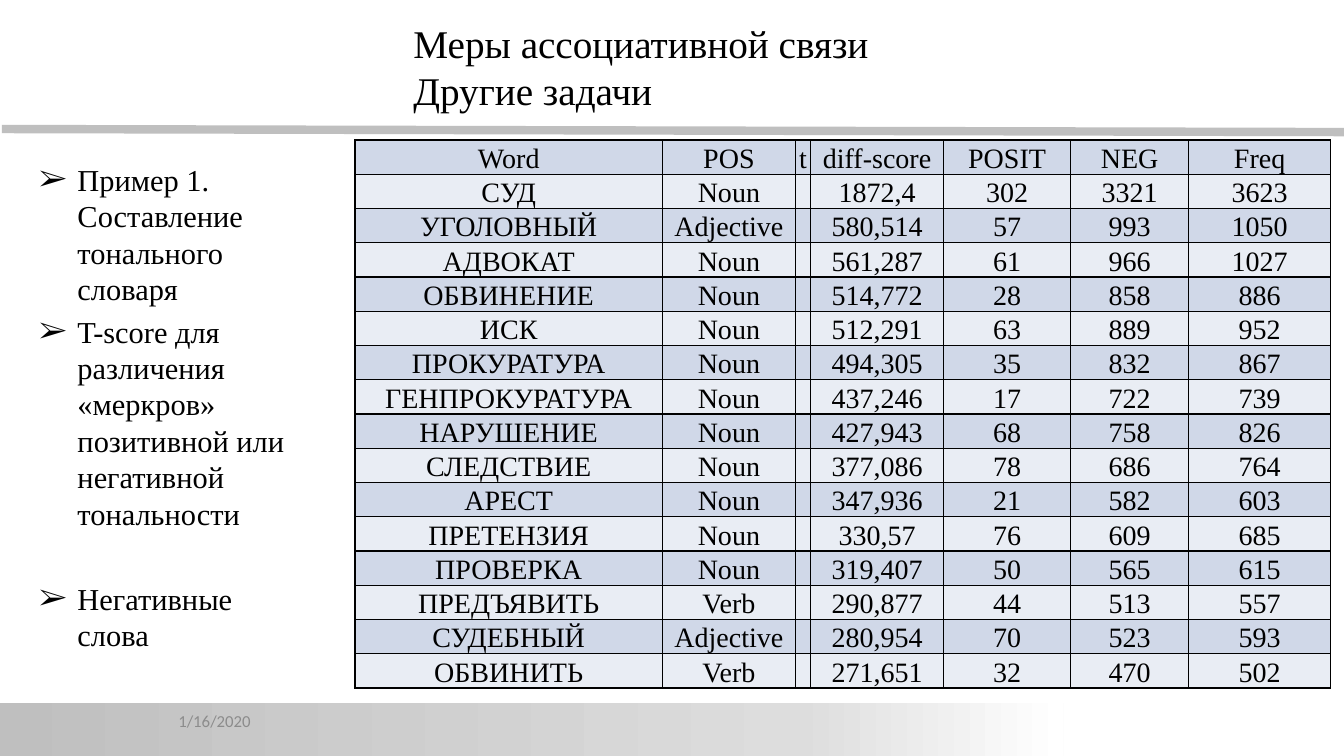
from lxml import etree
from pptx import Presentation
from pptx.dml.color import RGBColor
from pptx.enum.shapes import MSO_CONNECTOR, MSO_SHAPE
from pptx.enum.text import MSO_ANCHOR, MSO_AUTO_SIZE, PP_ALIGN
from pptx.oxml import parse_xml
from pptx.oxml.ns import nsdecls, qn
from pptx.util import Inches, Pt

BLACK = RGBColor(0x00, 0x00, 0x00)
SILVER = RGBColor(0xBF, 0xBF, 0xBF)
PALE = RGBColor(0xDD, 0xDD, 0xDD)
WHITE = RGBColor(0xFF, 0xFF, 0xFF)
DATE_GREY = RGBColor(0x8C, 0x8C, 0x8C)
BAND_DARK = RGBColor(0xD0, 0xD8, 0xE8)
BAND_LIGHT = RGBColor(0xE9, 0xED, 0xF4)

STRAIGHT = MSO_CONNECTOR.STRAIGHT
RECTANGLE = MSO_SHAPE.RECTANGLE
TOP, MIDDLE, BOTTOM = MSO_ANCHOR.TOP, MSO_ANCHOR.MIDDLE, MSO_ANCHOR.BOTTOM
NO_FIT = MSO_AUTO_SIZE.NONE
LEFT, CENTER = PP_ALIGN.LEFT, PP_ALIGN.CENTER

TITLE = ["Меры ассоциативной связи", "Другие задачи"]

# Bullet text and the space before it in points
BULLETS = [
    ("Пример 1. Составление тонального словаря", 4.3),
    ("T-score для различения «меркров» позитивной или негативной тональности", 4.3),
    ("Негативные слова", 34.7),
]

# Column widths in percent of the slide's width
COLUMN_WIDTHS = [22.88, 9.9, 1.13, 9.9, 9.45, 8.78, 10.58]
WORD_ROWS = [
    ("Word", "POS", "t", "diff-score", "POSIT", "NEG", "Freq"),
    ("СУД", "Noun", "", "1872,4", "302", "3321", "3623"),
    ("УГОЛОВНЫЙ", "Adjective", "", "580,514", "57", "993", "1050"),
    ("АДВОКАТ", "Noun", "", "561,287", "61", "966", "1027"),
    ("ОБВИНЕНИЕ", "Noun", "", "514,772", "28", "858", "886"),
    ("ИСК", "Noun", "", "512,291", "63", "889", "952"),
    ("ПРОКУРАТУРА", "Noun", "", "494,305", "35", "832", "867"),
    ("ГЕНПРОКУРАТУРА", "Noun", "", "437,246", "17", "722", "739"),
    ("НАРУШЕНИЕ", "Noun", "", "427,943", "68", "758", "826"),
    ("СЛЕДСТВИЕ", "Noun", "", "377,086", "78", "686", "764"),
    ("АРЕСТ", "Noun", "", "347,936", "21", "582", "603"),
    ("ПРЕТЕНЗИЯ", "Noun", "", "330,57", "76", "609", "685"),
    ("ПРОВЕРКА", "Noun", "", "319,407", "50", "565", "615"),
    ("ПРЕДЪЯВИТЬ", "Verb", "", "290,877", "44", "513", "557"),
    ("СУДЕБНЫЙ", "Adjective", "", "280,954", "70", "523", "593"),
    ("ОБВИНИТЬ", "Verb", "", "271,651", "32", "470", "502"),
]


class SlideBuilder:
    """Draws on one slide; places and lengths are percent of its size."""

    font = "Times New Roman"

    def __init__(self, deck):
        self.deck = deck
        self.page = deck.slides.add_slide(deck.slide_layouts[5])

    def x(self, share):
        return round(self.deck.slide_width * share / 100)

    def y(self, share):
        return round(self.deck.slide_height * share / 100)

    def area(self, left, top, width, height):
        return self.x(left), self.y(top), self.x(width), self.y(height)

    def add_text(self, para, text, size, color=BLACK, font=font, align=LEFT):
        para.alignment = align
        span = para.add_run()
        span.text = text
        span.font.name = font
        span.font.size = Pt(size)
        span.font.color.rgb = color

    def frame(self, box, anchor):
        frame = box.text_frame
        frame.word_wrap = True
        frame.auto_size = NO_FIT
        frame.vertical_anchor = anchor
        return frame

    def paragraphs(self, frame, count):
        for _ in range(count - 1):
            frame.add_paragraph()
        return frame.paragraphs

    def title(self, lines, *area):
        box = self.page.shapes.title
        box.left, box.top, box.width, box.height = self.area(*area)
        frame = self.frame(box, TOP)
        for para, line in zip(self.paragraphs(frame, len(lines)), lines):
            para.line_spacing = Pt(33.6)
            para.space_before = Pt(0)
            self.add_text(para, line, 28)

    def rule(self, x1, y1, x2, y2):
        line = self.page.shapes.add_connector(
            STRAIGHT, self.x(x1), self.y(y1), self.x(x2), self.y(y2))
        line.line.color.rgb = SILVER
        line.line.width = Pt(6)
        etree.SubElement(line._element.spPr, qn("a:effectLst"))

    def gradient_bar(self, stops, *area):
        bar = self.page.shapes.add_shape(RECTANGLE, *self.area(*area))
        bar.shadow.inherit = False
        bar.line.fill.background()
        marks = "".join(
            f'<a:gs pos="{share * 1000}"><a:srgbClr val="{color}"/></a:gs>'
            for share, color in stops)
        bar._element.spPr.find(qn("a:prstGeom")).addnext(parse_xml(
            f'<a:gradFill {nsdecls("a")} rotWithShape="1"><a:gsLst>{marks}</a:gsLst>'
            '<a:lin ang="0" scaled="0"/></a:gradFill>'))

    def label(self, text, size, color, font, *area):
        box = self.page.shapes.add_textbox(*self.area(*area))
        frame = self.frame(box, MIDDLE)
        self.add_text(frame.paragraphs[0], text, size, color, font)

    def bullets(self, items, *area):
        box = self.page.shapes.add_textbox(*self.area(*area))
        frame = self.frame(box, TOP)
        for para, (text, gap) in zip(self.paragraphs(frame, len(items)), items):
            para.line_spacing = Pt(26)
            para.space_before = Pt(gap)
            self.add_text(para, text, 21.7)
            props = para._p.get_or_add_pPr()
            indent = Inches(0.38)
            props.set("marL", str(indent))
            props.set("indent", str(-indent))
            etree.SubElement(props, qn("a:buFont")).set("typeface", self.font)
            etree.SubElement(props, qn("a:buChar")).set("char", "➢")

    def cell(self, cell, text, fill):
        for side in ("lnL", "lnR", "lnT", "lnB"):
            cell._tc.get_or_add_tcPr().append(parse_xml(
                f'<a:{side} {nsdecls("a")} w="{Pt(1)}"><a:solidFill>'
                f'<a:srgbClr val="{BLACK}"/></a:solidFill></a:{side}>'))
        cell.fill.solid()
        cell.fill.fore_color.rgb = fill
        cell.vertical_anchor = BOTTOM
        cell.margin_left = cell.margin_right = cell.margin_top = Inches(0.01)
        cell.margin_bottom = 0
        if text:
            self.add_text(cell.text_frame.paragraphs[0], text, 20, align=CENTER)

    def table(self, rows, widths, left, top, height):
        table = self.page.shapes.add_table(
            len(rows), len(widths),
            *self.area(left, top, sum(widths), height)).table
        for column, width in zip(table.columns, widths):
            column.width = self.x(width)
        for r, texts in enumerate(rows):
            table.rows[r].height = self.y(height / len(rows))
            for c, text in enumerate(texts):
                self.cell(table.cell(r, c), text, BAND_LIGHT if r % 2 else BAND_DARK)


def main():
    deck = Presentation()
    deck.slide_width, deck.slide_height = Inches(13.33), Inches(7.5)
    slide = SlideBuilder(deck)

    # Header rule and footer bar
    slide.rule(0.15, 17.07, 100.15, 17.47)
    slide.gradient_bar([(0, SILVER), (75, PALE), (100, WHITE)],
                       -0.08, 92.93, 79.22, 7.6)

    # Title, bullets and date
    slide.title(TITLE, 30.01, 1.87, 43.74, 13.87)
    slide.bullets(BULLETS, 2.18, 20.67, 20.71, 60.93)
    slide.label("1/16/2020", 12, DATE_GREY, "Calibri", 12.53, 92.67, 17.48, 5.33)

    # Word table
    slide.table(WORD_ROWS, COLUMN_WIDTHS, 26.41, 18.53, 72.53)

    deck.save("out.pptx")


if __name__ == "__main__":
    main()
